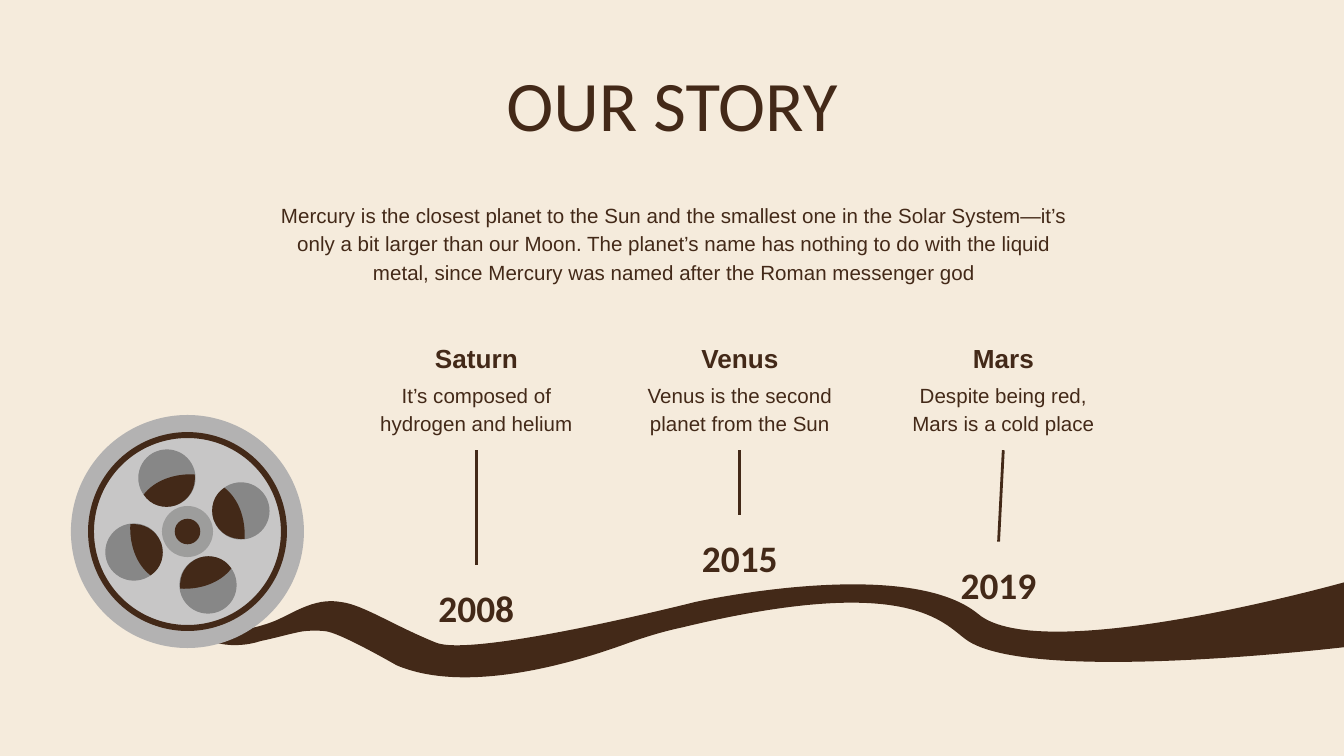
from lxml import etree
from pptx import Presentation, util as u
from pptx.dml.color import RGBColor
from pptx.enum import shapes, text
from pptx.oxml import ns

# Content
TITLE = "OUR STORY"
INTRO = ("Mercury is the closest planet to the Sun and the smallest one in the "
         "Solar System—it’s only a bit larger than our Moon. The planet’s name has "
         "nothing to do with the liquid metal, since Mercury was named after the "
         "Roman messenger god")
# heading, description, year, row where the year starts, year shift in columns
EVENTS = [
    ("Saturn", "It’s composed of hydrogen and helium", "2008", 42.05, 0),
    ("Venus", "Venus is the second planet from the Sun", "2015", 38.3, 0),
    ("Mars", "Despite being red, Mars is a cold place", "2019", 40.3, -0.35),
]

# Theme
THEME = {
    "paper": "F5EBDC", "ink": "432918", "rim": "B3B2B2", "disc": "C7C6C6",
    "hole": "878787", "hub": "9D9D9C", "line": 1.5,
    "title": {"size": u.Pt(38), "name": "Calibri"},
    "body": {"size": u.Pt(11), "name": "Arial"},
    "heading": {"size": u.Pt(14), "name": "Arial", "bold": True},
    "year": {"size": u.Pt(20), "name": "Calibri", "bold": True},
}
PARAGRAPH = {"line_spacing": 1.15, "space_after": u.Pt(16)}

# Square grid: 100 columns across the slide, 56.25 rows down
COLS, ROWS = 100, 56.25
CELL = u.Inches(10) / COLS
FIRST, PITCH = 35.45, 19.6         # centre of the first event, column step
EVENT_W, YEAR_W = 17.9, 21.3
HEAD_TOP, TEXT_TOP, LINE_TOP = 24.1, 27.2, 33.5
REEL = (13.95, 39.55)              # centre of the film reel
HOLE = (-3.98, 1.53)               # first hole, measured from the reel centre

# Curves: start point, then control, control, end for each segment
FILM = [
    (24.4, 47),
    (25.7, 47.3), (29.5, 49.5), (29.5, 49.5), (34.9, 51.8), (43.3, 49.1), (46.6, 47.9),
    (48, 47.4), (49.3, 47), (50.7, 46.7), (67.7, 42.6), (70.2, 46.4), (71.9, 47.6),
    (76.6, 51), (100.5, 48.1), (100.5, 48.1), (100.5, 48.1), (100.5, 43.2), (100.5, 43.2),
    (100.5, 43.2), (77.6, 49.7), (72.8, 45.7), (67.5, 41.3), (51.7, 44.8), (51.7, 44.8),
    (51.7, 44.8), (35.1, 49), (32.4, 47.8), (29.2, 46.5), (27, 45), (25.4, 44.8),
    (23.3, 44.4), (21.6, 45.8), (20.2, 46.3), (18.8, 46.8), (17.7, 47), (16.3, 46.7),
    (15, 46.5), (13.8, 46.3), (12.5, 47), (11.9, 47.4), (12.5, 48.3), (13.1, 48),
    (14.2, 47.4), (15.3, 47.7), (16.4, 47.9), (17.4, 48.1), (18.5, 48), (19.4, 47.7),
    (20.4, 47.5), (21.4, 47.2), (22.4, 47), (23, 46.9), (23.9, 46.9), (24.4, 47),
]
SHADE = [
    (-0.27, -2.07),
    (-0.35, -0.6), (0.15, 0.9), (1.23, 1.73), (2.03, 1.23), (2.33, 0.23), (2.03, -0.67),
    (1.63, -1.67), (0.73, -2.17), (-0.27, -2.07),
]


def colour(key):
    return RGBColor.from_string(THEME[key])


def emu(*cells):
    return [round(c * CELL) for c in cells]


def paint(sp, key):
    sp.shadow.inherit = False
    sp.fill.solid()
    sp.fill.fore_color.rgb = colour(key)
    sp.line.fill.background()


def add_text(s, words, style, box, anchor=text.MSO_ANCHOR.TOP, para=PARAGRAPH):
    tf = s.shapes.add_textbox(*emu(*box)).text_frame
    tf.word_wrap, tf.vertical_anchor = True, anchor
    for side in ("left", "top", "right", "bottom"):
        setattr(tf, f"margin_{side}", u.Inches(0.1))
    p = tf.paragraphs[0]
    for name, value in {"alignment": text.PP_ALIGN.CENTER, **para}.items():
        setattr(p, name, value)
    r = p.add_run()
    r.text = words
    for name, value in THEME[style].items():
        setattr(r.font, name, value)
    r.font.color.rgb = colour("ink")


def add_circle(s, centre, radius, key, kind=shapes.MSO_SHAPE.OVAL):
    x, y = centre
    sp = s.shapes.add_shape(
        kind, *emu(x - radius, y - radius, 2 * radius, 2 * radius))
    paint(sp, key)
    return sp


def add_curve(s, points, key):
    """Freeform whose points, three by three, become Bezier segments."""
    first, *rest = [emu(*pt) for pt in points]
    builder = s.shapes.build_freeform(*first, scale=1.0)
    builder.add_line_segments(rest, close=True)
    sp = builder.convert_to_shape()
    lines = list(sp._element.iter(ns.qn("a:lnTo")))
    for group in zip(lines[::3], lines[1::3], lines[2::3]):
        bezier = etree.Element(ns.qn("a:cubicBezTo"))
        group[0].addprevious(bezier)
        for line in group:
            bezier.append(line[0])
            line.getparent().remove(line)
    paint(sp, key)


def shift(point, origin):
    return point[0] + origin[0], point[1] + origin[1]


def quarter_turn(point):
    return -point[1], point[0]


def add_reel(s):
    add_circle(s, REEL, 8.67, "rim")
    add_circle(s, REEL, 7.2, "disc")
    ring = add_circle(s, REEL, 7.4, "ink", shapes.MSO_SHAPE.DONUT)
    ring.adjustments[0] = 0.03
    hole, shade = HOLE, SHADE
    for _ in range(4):
        centre = shift(hole, REEL)
        add_circle(s, centre, 2.13, "hole")
        add_curve(s, [shift(pt, centre) for pt in shade], "ink")
        hole, shade = quarter_turn(hole), [quarter_turn(pt) for pt in shade]
    add_circle(s, REEL, 1.9, "hub")
    add_circle(s, REEL, 0.95, "ink")


def add_event(s, i, event):
    heading, words, year, year_top, year_shift = event
    x = FIRST + i * PITCH
    left, year_x = x - EVENT_W / 2, x + year_shift
    add_text(s, heading, "heading", (left, HEAD_TOP, EVENT_W, 3))
    add_text(s, words, "body", (left, TEXT_TOP, EVENT_W, 6.2))
    add_text(s, year, "year", (year_x - YEAR_W / 2, year_top, YEAR_W, 6.8))
    line = s.shapes.add_connector(shapes.MSO_CONNECTOR.STRAIGHT,
                                  *emu(x, LINE_TOP, year_x, year_top))
    line.line.color.rgb = colour("ink")
    line.line.width = u.Pt(THEME["line"])
    etree.SubElement(line._element.spPr, ns.qn("a:effectLst"))


def main():
    prs = Presentation()
    prs.slide_width, prs.slide_height = emu(COLS, ROWS)
    s = prs.slides.add_slide(prs.slide_layouts[6])
    s.background.fill.solid()
    s.background.fill.fore_color.rgb = colour("paper")

    # Film strip and reel
    add_curve(s, FILM, "ink")
    add_reel(s)

    # Title and introduction
    add_text(s, TITLE, "title", (7.85, 5.9, 84.3, 3.5), text.MSO_ANCHOR.MIDDLE, {})
    add_text(s, INTRO, "body", (19.37, 11.05, 61.6, 11.1), text.MSO_ANCHOR.BOTTOM)

    # Timeline
    for i, event in enumerate(EVENTS):
        add_event(s, i, event)
    prs.save("out.pptx")


if __name__ == "__main__":
    main()
